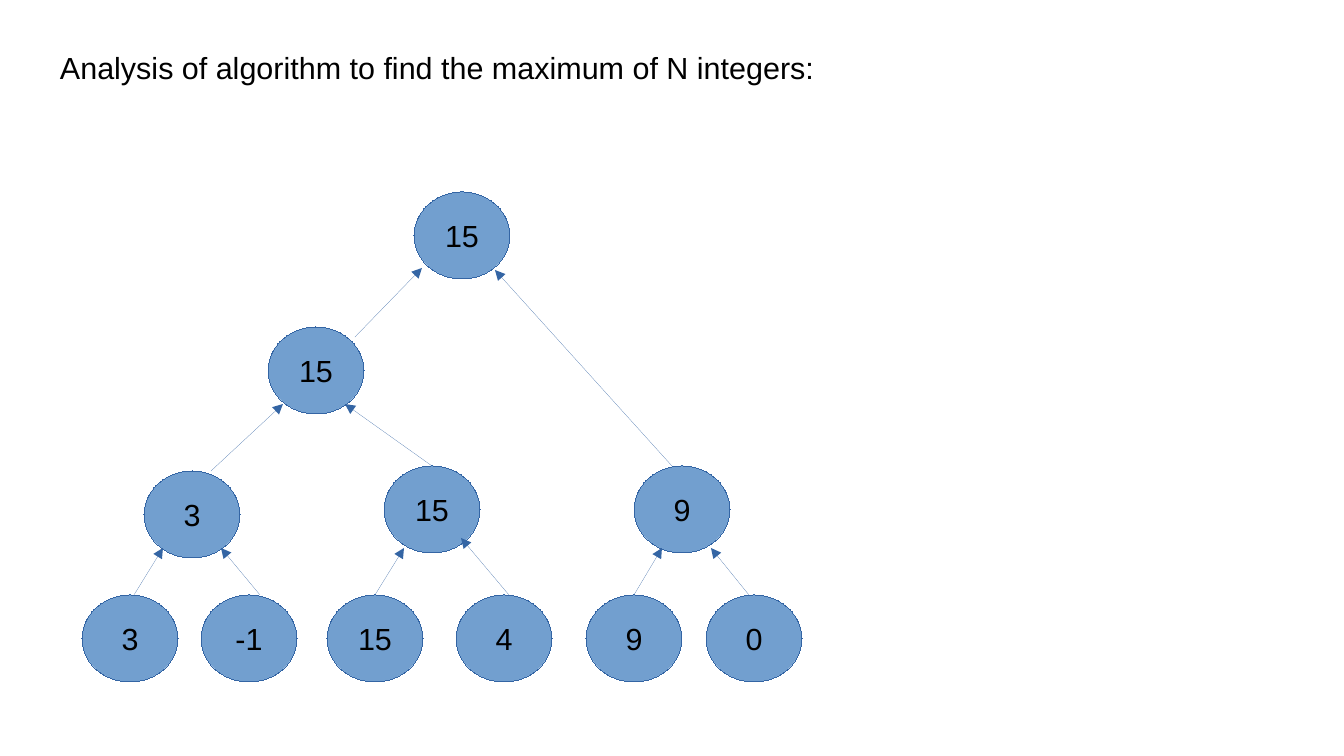
from lxml.etree import SubElement
from pptx import Presentation
from pptx.dml.color import RGBColor
from pptx.enum.shapes import MSO_CONNECTOR, MSO_SHAPE
from pptx.enum.text import MSO_ANCHOR, PP_ALIGN
from pptx.oxml.ns import qn
from pptx.util import Emu, Pt

EMU_PER_PIXEL = 914400 / 122
NODE_WIDTH, NODE_HEIGHT = 96, 87
LEAF_TOP = 595

LEAVES = [("3", 82), ("-1", 201), ("15", 327), ("4", 456), ("9", 586), ("0", 706)]
WINNERS = [("3", 144, 471), ("15", 384, 466), ("15", 268, 327),
           ("9", 634, 466), ("15", 414, 192)]
ARROWS = [
    ((134, LEAF_TOP), (163, 548)), ((260, LEAF_TOP), (221, 548)),
    ((375, LEAF_TOP), (404, 548)), ((509, LEAF_TOP), (461, 538)),
    ((634, LEAF_TOP), (662, 548)), ((432, 466), (345, 404)),
    ((749, LEAF_TOP), (711, 548)), ((211, 471), (283, 404)),
    ((355, 337), (422, 268)), ((672, 466), (495, 270)),
]


def pixels(*lengths):
    """Turn pixel lengths into EMU."""
    return [Emu(round(length * EMU_PER_PIXEL)) for length in lengths]


def color(hex_string):
    """Turn a hex string into a colour."""
    return RGBColor.from_string(hex_string)


def write(shape, text, font="Arial", size=18, ink="000000", align=PP_ALIGN.LEFT,
          anchor=MSO_ANCHOR.TOP, wrap=True):
    """Write one formatted paragraph into a shape."""
    frame = shape.text_frame
    frame.word_wrap = wrap
    frame.vertical_anchor = anchor
    paragraph = frame.paragraphs[0]
    paragraph.alignment = align
    run = paragraph.add_run()
    run.text = text
    run.font.name = font
    run.font.size = Pt(size)
    run.font.color.rgb = color(ink)


def drop_theme_style(shape):
    """Remove the theme style, so that lines stay hairlines."""
    shape._element.remove(shape._element.find(qn("p:style")))


class TreeSlide:
    """Hold the style and the current slide."""

    node_fill = "729FCF"
    outline = "3465A4"

    def __init__(self, slide):
        """Keep the slide to draw on."""
        self.slide = slide

    def title(self, text, left, top, width, height):
        """Add the heading."""
        box = self.slide.shapes.add_textbox(*pixels(left, top, width, height))
        write(box, text)

    def node(self, value, left, top):
        """Add one tree node with its value."""
        shape = self.slide.shapes.add_shape(
            MSO_SHAPE.OVAL, *pixels(left, top, NODE_WIDTH, NODE_HEIGHT))
        drop_theme_style(shape)
        shape.shadow.inherit = False
        shape.fill.solid()
        shape.fill.fore_color.rgb = color(self.node_fill)
        shape.line.color.rgb = color(self.outline)
        write(shape, value, align=PP_ALIGN.CENTER, anchor=MSO_ANCHOR.MIDDLE, wrap=False)

    def arrow(self, start, end):
        """Add an arrow from a child to its parent."""
        connector = self.slide.shapes.add_connector(
            MSO_CONNECTOR.STRAIGHT, *pixels(*start, *end))
        drop_theme_style(connector)
        connector.line.color.rgb = color(self.outline)
        SubElement(connector.line._get_or_add_ln(), qn("a:tailEnd"), type="triangle")
        SubElement(connector._element.spPr, qn("a:effectLst"))


def main():
    """Build and save the presentation."""
    presentation = Presentation()
    presentation.slide_width, presentation.slide_height = pixels(1344, 756)
    tree = TreeSlide(presentation.slides.add_slide(presentation.slide_layouts[6]))
    tree.title("Analysis of algorithm to find the maximum of N integers:", 48, 43, 836, 57)
    for value, left in LEAVES:
        tree.node(value, left, LEAF_TOP)
    for value, left, top in WINNERS:
        tree.node(value, left, top)
    for start, end in ARROWS:
        tree.arrow(start, end)
    presentation.save("out.pptx")


main()
